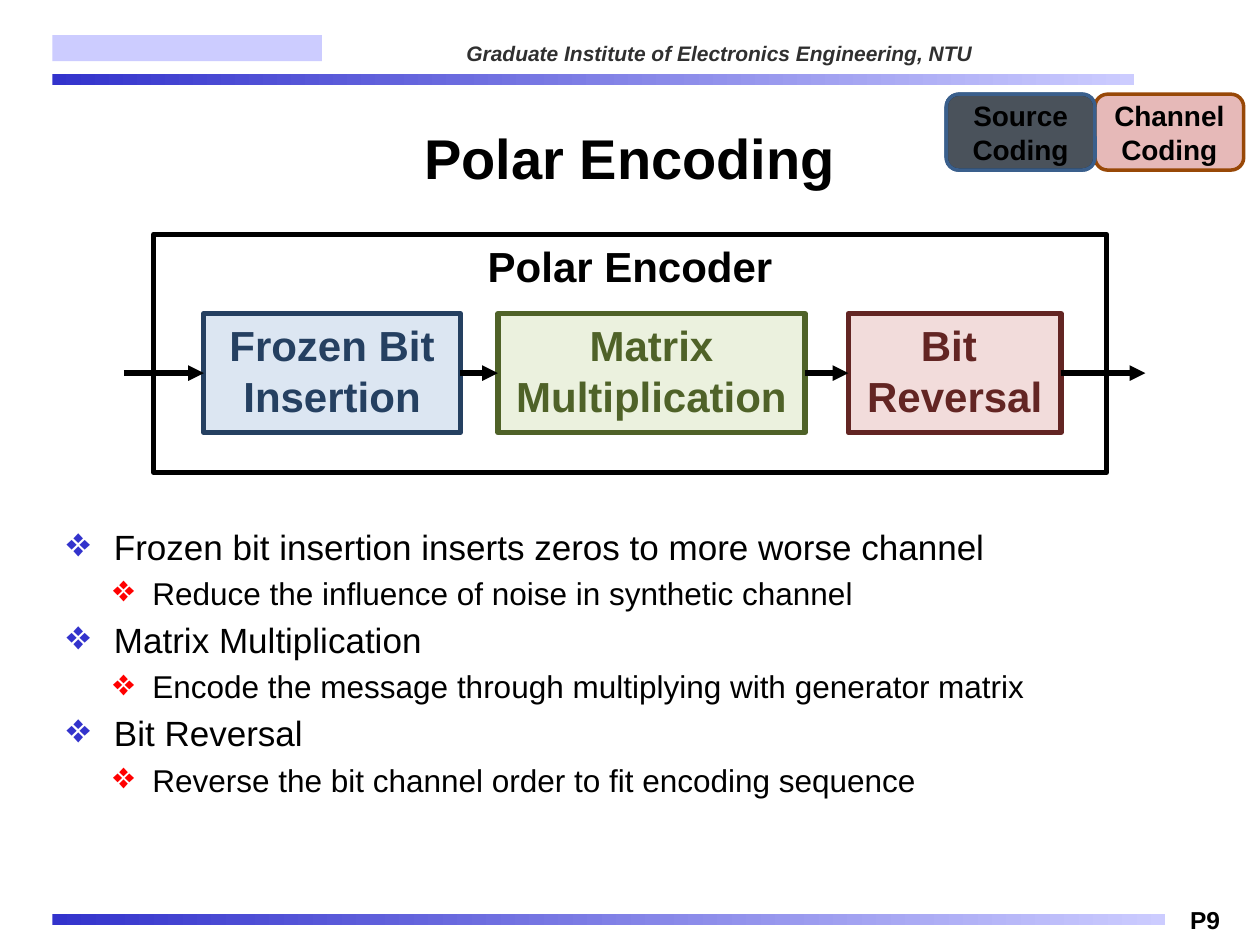
from dataclasses import dataclass

from lxml.etree import SubElement
from pptx import Presentation
from pptx.dml.color import RGBColor
from pptx.enum.shapes import MSO_CONNECTOR, MSO_SHAPE as SHAPE
from pptx.enum.text import MSO_ANCHOR as ANCHOR, PP_ALIGN as ALIGN
from pptx.oxml.ns import qn
from pptx.util import Pt


@dataclass(frozen=True)
class Theme:
    font: str = "Arial"
    ink: str = "000000"
    header: str = "303030"
    bar: tuple = ("3333CC", "CCCCFF")
    bullets: tuple = ("3333CC", "FF0000")
    bullet_sizes: tuple = (20, 18)
    title_size: int = 32
    block_size: int = 24
    chip_size: int = 16
    page_size: int = 14
    header_size: int = 12


class SlideBuilder:
    def __init__(self, slide, theme):
        self.s, self.theme = slide, theme

    def run(self, p, text, size, color=None, bold=False, italic=False):
        r = p.add_run()
        r.text = text
        f = r.font
        f.name, f.size, f.bold, f.italic = self.theme.font, Pt(size), bold, italic
        f.color.rgb = RGBColor.from_string(color or self.theme.ink)

    def title(self, box, text):
        sp = self.s.shapes.title
        sp.left, sp.top, sp.width, sp.height = map(Pt, box)
        tf = sp.text_frame
        tf.vertical_anchor = ANCHOR.MIDDLE
        p = tf.paragraphs[0]
        p.alignment = ALIGN.CENTER
        self.run(p, text, self.theme.title_size, bold=True)

    def textbox(self, box, wrap=True):
        tf = self.s.shapes.add_textbox(*map(Pt, box)).text_frame
        tf.word_wrap = wrap
        return tf

    def shape(self, kind, box, fill=None, line=None, width=3, alpha=None):
        sp = self.s.shapes.add_shape(kind, *map(Pt, box))
        sp.shadow.inherit = False
        if fill:
            sp.fill.solid()
            sp.fill.fore_color.rgb = RGBColor.from_string(fill)
        else:
            sp.fill.background()
        if alpha is not None:
            color = sp._element.spPr.find(f".//{qn('a:srgbClr')}")
            SubElement(color, qn("a:alpha"), val=str(alpha * 1000))
        if line:
            sp.line.color.rgb = RGBColor.from_string(line)
            sp.line.width = Pt(width)
        else:
            sp.line.fill.background()
        return sp

    def label(self, sp, lines, size, color=None, anchor=ANCHOR.TOP):
        tf = sp.text_frame
        tf.word_wrap = True
        tf.vertical_anchor = anchor
        tf.margin_left = tf.margin_right = 0
        for i, text in enumerate(lines):
            p = tf.add_paragraph() if i else tf.paragraphs[0]
            p.alignment = ALIGN.CENTER
            self.run(p, text, size, color, bold=True)

    def gradient_bar(self, box):
        fill = self.shape(SHAPE.RECTANGLE, box).fill
        fill.gradient()
        fill.gradient_angle = 0
        for stop, color in zip(fill.gradient_stops, self.theme.bar):
            stop.color.rgb = RGBColor.from_string(color)

    def arrow(self, x1, x2, y):
        c = self.s.shapes.add_connector(MSO_CONNECTOR.STRAIGHT, Pt(x1), Pt(y), Pt(x2), Pt(y))
        c.line.color.rgb = RGBColor.from_string(self.theme.ink)
        c.line.width = Pt(3)
        SubElement(c._element.spPr.find(qn("a:ln")), qn("a:tailEnd"), type="triangle")
        SubElement(c._element.spPr, qn("a:effectLst"))

    def bullets(self, box, items):
        tf = self.textbox(box)
        for i, (level, text) in enumerate(items):
            p = tf.add_paragraph() if i else tf.paragraphs[0]
            p.level = level
            if i:
                p.space_before = Pt(3.85)
            pPr = p._p.get_or_add_pPr()
            indent, hang = ((27, 27), (49, 22.5))[level]
            pPr.set("marL", str(Pt(indent)))
            pPr.set("indent", str(-Pt(hang)))
            color = SubElement(pPr, qn("a:buClr"))
            SubElement(color, qn("a:srgbClr"), val=self.theme.bullets[level])
            SubElement(pPr, qn("a:buSzPct"), val="118000")
            SubElement(pPr, qn("a:buChar"), char="❖")
            self.run(p, text, self.theme.bullet_sizes[level])


# left, width, lines, fill, line and text colour
BLOCKS = [(116.5, 146.5, ["Frozen Bit", "Insertion"], "DCE6F2", "254061"),
          (284.5, 175.5, ["Matrix", "Multiplication"], "EBF1DE", "4F6228"),
          (484.8, 121.5, ["Bit ", "Reversal"], "F2DCDB", "632523")]
CHIPS = [(["Source Coding"], "B9CDE5", "3A5F8C"),
         (["Channel", "Coding"], "E6B9B8", "984807")]
POINTS = [(0, "Frozen bit insertion inserts zeros to more worse channel"),
          (1, "Reduce the influence of noise in synthetic channel"),
          (0, "Matrix Multiplication"),
          (1, "Encode the message through multiplying with generator matrix"),
          (0, "Bit Reversal"),
          (1, "Reverse the bit channel order to fit encoding sequence")]


def main():
    prs = Presentation()
    prs.slide_width, prs.slide_height = Pt(720), Pt(540)
    theme = Theme()
    b = SlideBuilder(prs.slides.add_slide(prs.slide_layouts[5]), theme)

    b.gradient_bar((30, 42, 618, 6.5))
    b.shape(SHAPE.RECTANGLE, (30, 20, 154, 15), theme.bar[1])
    institute = b.textbox((259.4, 19.8, 358, 21))
    b.run(institute.paragraphs[0], "Graduate Institute of Electronics Engineering, NTU",
          theme.header_size, theme.header, bold=True, italic=True)
    page = b.textbox((673, 513.5, 41, 24), wrap=False)
    b.run(page.paragraphs[0], "P9", theme.page_size, bold=True)
    b.gradient_bar((30, 522, 636, 6.5))
    b.title((30, 60, 660, 60), "Polar Encoding")
    b.bullets((31, 296.6, 660, 178), POINTS)

    encoder = b.shape(SHAPE.RECTANGLE, (87.8, 134, 544.5, 136), line=theme.ink)
    b.label(encoder, ["Polar Encoder"], theme.block_size)
    top, height = 179.2, 68
    for left, width, lines, fill, color in BLOCKS:
        block = b.shape(SHAPE.RECTANGLE, (left, top, width, height), fill, color)
        b.label(block, lines, theme.block_size, color)
    starts = [70.8] + [left + width for left, width, *_ in BLOCKS]
    ends = [left for left, *_ in BLOCKS] + [654.5]
    for start, end in zip(starts, ends):
        b.arrow(start, end, top + height / 2)

    chip_left, chip_top, chip_width, chip_height = 540.7, 53.8, 85, 43.4
    for i, (lines, fill, line) in enumerate(CHIPS):
        box = (chip_left + i * chip_width, chip_top, chip_width, chip_height)
        chip = b.shape(SHAPE.ROUNDED_RECTANGLE, box, fill, line, 2)
        b.label(chip, lines, theme.chip_size, anchor=ANCHOR.MIDDLE)
    b.shape(SHAPE.ROUNDED_RECTANGLE, (chip_left, chip_top, chip_width, chip_height),
            theme.ink, CHIPS[0][2], 2, alpha=60)

    prs.save("out.pptx")


if __name__ == "__main__":
    main()
